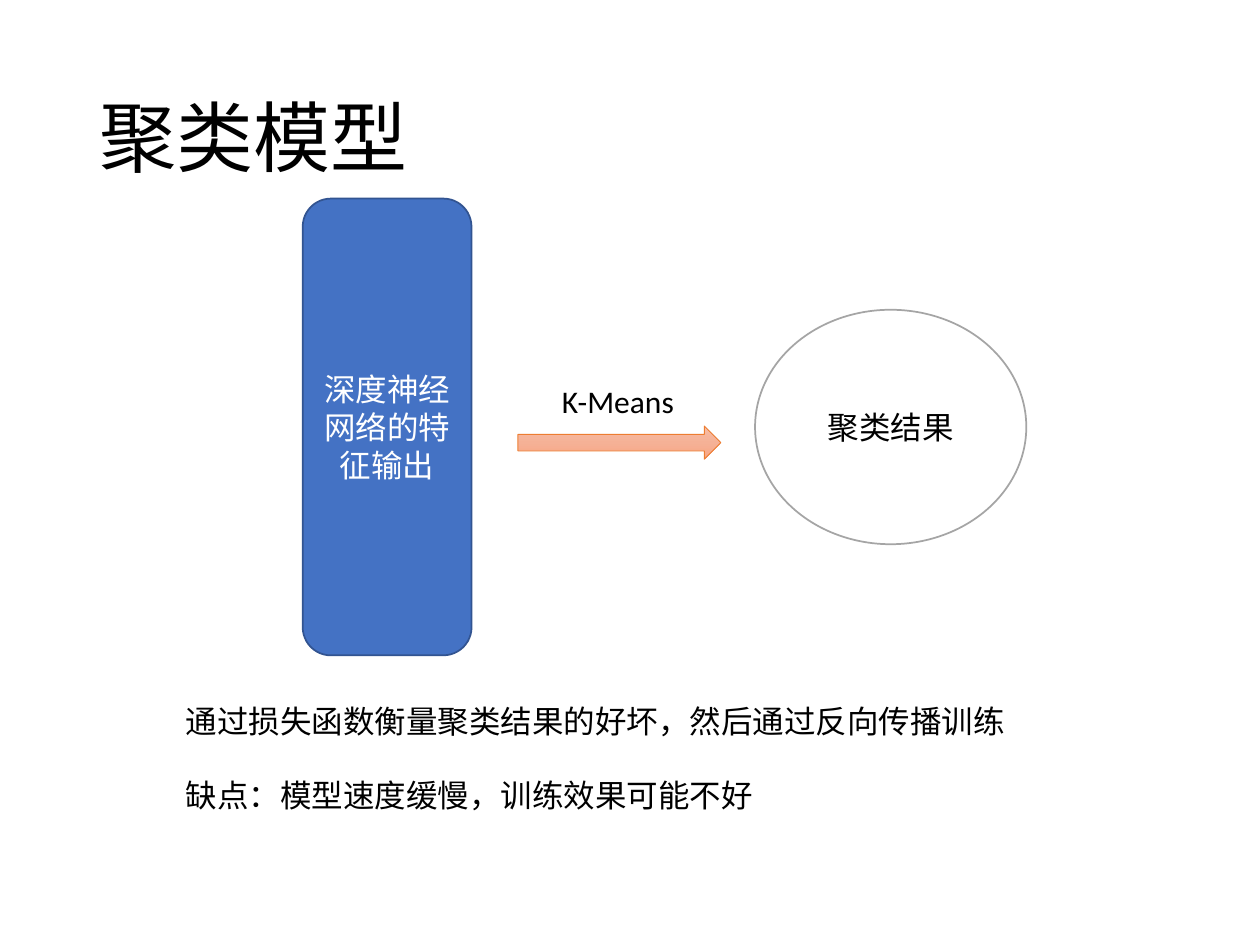
from copy import deepcopy

from pptx import Presentation
from pptx.dml.color import RGBColor
from pptx.enum.shapes import MSO_SHAPE
from pptx.enum.text import MSO_ANCHOR, MSO_AUTO_SIZE, PP_ALIGN
from pptx.util import Pt

ROUNDED = MSO_SHAPE.ROUNDED_RECTANGLE
ARROW = MSO_SHAPE.RIGHT_ARROW
OVAL = MSO_SHAPE.OVAL
LEFT, CENTER = PP_ALIGN.LEFT, PP_ALIGN.CENTER
TOP, MIDDLE = MSO_ANCHOR.TOP, MSO_ANCHOR.MIDDLE
GROW = MSO_AUTO_SIZE.SHAPE_TO_FIT_TEXT
NO_FIT = MSO_AUTO_SIZE.NONE

FONT = "Calibri"
BLACK, WHITE = "000000", "FFFFFF"
BLUE, DARK_BLUE = "4472C4", "325491"
ORANGE, GRAY = "ED7D31", "A5A5A5"
ARROW_GRADIENT = [(0, "F7BDA5"), (0.5, "F5B196"), (1, "F8A582")]


def color(value):
    return RGBColor.from_string(value)


def place(shape, box):
    shape.left, shape.top, shape.width, shape.height = map(Pt, box)


def write(shape, text, size=18, fill=BLACK, align=LEFT, anchor=TOP,
          wrap=True, fit=NO_FIT, line_spacing=1.0, gap=0):
    frame = shape.text_frame
    frame.text = text
    frame.word_wrap = wrap
    frame.auto_size = fit
    frame.vertical_anchor = anchor
    for index, paragraph in enumerate(frame.paragraphs):
        paragraph.alignment = align
        paragraph.line_spacing = line_spacing
        paragraph.space_before = Pt(gap if index else 0)
        for run in paragraph.runs:
            run.font.name = FONT
            run.font.size = Pt(size)
            run.font.color.rgb = color(fill)


def add_block(slide, kind, box, fill, line, line_width=1):
    shape = slide.shapes.add_shape(kind, *map(Pt, box))
    shape.shadow.inherit = False
    shape.fill.solid()
    shape.fill.fore_color.rgb = color(fill)
    shape.line.color.rgb = color(line)
    shape.line.width = Pt(line_width)
    return shape


def apply_gradient(shape, stops):
    shape.fill.gradient()
    shape.fill.gradient_angle = 270
    first_stop = shape.fill.gradient_stops[0]._gs
    first_stop.addnext(deepcopy(first_stop))
    for stop, (position, value) in zip(shape.fill.gradient_stops, stops):
        stop.position = position
        stop.color.rgb = color(value)


def add_label(slide, box, text, **style):
    label = slide.shapes.add_textbox(*map(Pt, box))
    write(label, text, wrap=False, fit=GROW, **style)


def add_title(slide, box):
    title = slide.shapes.title
    place(title, box)
    write(title, "聚类模型", size=44, anchor=MIDDLE, line_spacing=0.9)


def add_flow(slide, box):
    left, top, width, height = box
    features = add_block(slide, ROUNDED, (left, top, 96.5, height), BLUE, DARK_BLUE)
    write(features, "深度神经网络的特征输出", fill=WHITE, align=CENTER, anchor=MIDDLE)

    arrow = add_block(slide, ARROW, (left + 123, top + 130, 116, 19), WHITE, ORANGE, 0.5)
    apply_gradient(arrow, ARROW_GRADIENT)

    oval_width, oval_height = 155, 134
    oval_box = (left + width - oval_width, top + (height - oval_height) / 2,
                oval_width, oval_height)
    result = add_block(slide, OVAL, oval_box, WHITE, GRAY)
    write(result, "聚类结果", align=CENTER, anchor=MIDDLE)

    add_label(slide, (left + 141, top + 101, 79, 29), "K-Means")


def add_remarks(slide, box):
    add_label(slide, box,
              "通过损失函数衡量聚类结果的好坏，然后通过反向传播训练\n"
              "缺点：模型速度缓慢，训练效果可能不好", gap=21)


def main():
    presentation = Presentation()
    presentation.slide_width, presentation.slide_height = Pt(720), Pt(540)
    slide = presentation.slides.add_slide(presentation.slide_layouts[5])
    add_title(slide, (49.5, 28.75, 621, 104.4))
    add_flow(slide, (173, 113.5, 413.5, 261))
    add_remarks(slide, (99, 397.5, 487.5, 72.7))
    presentation.save("out.pptx")


if __name__ == "__main__":
    main()
